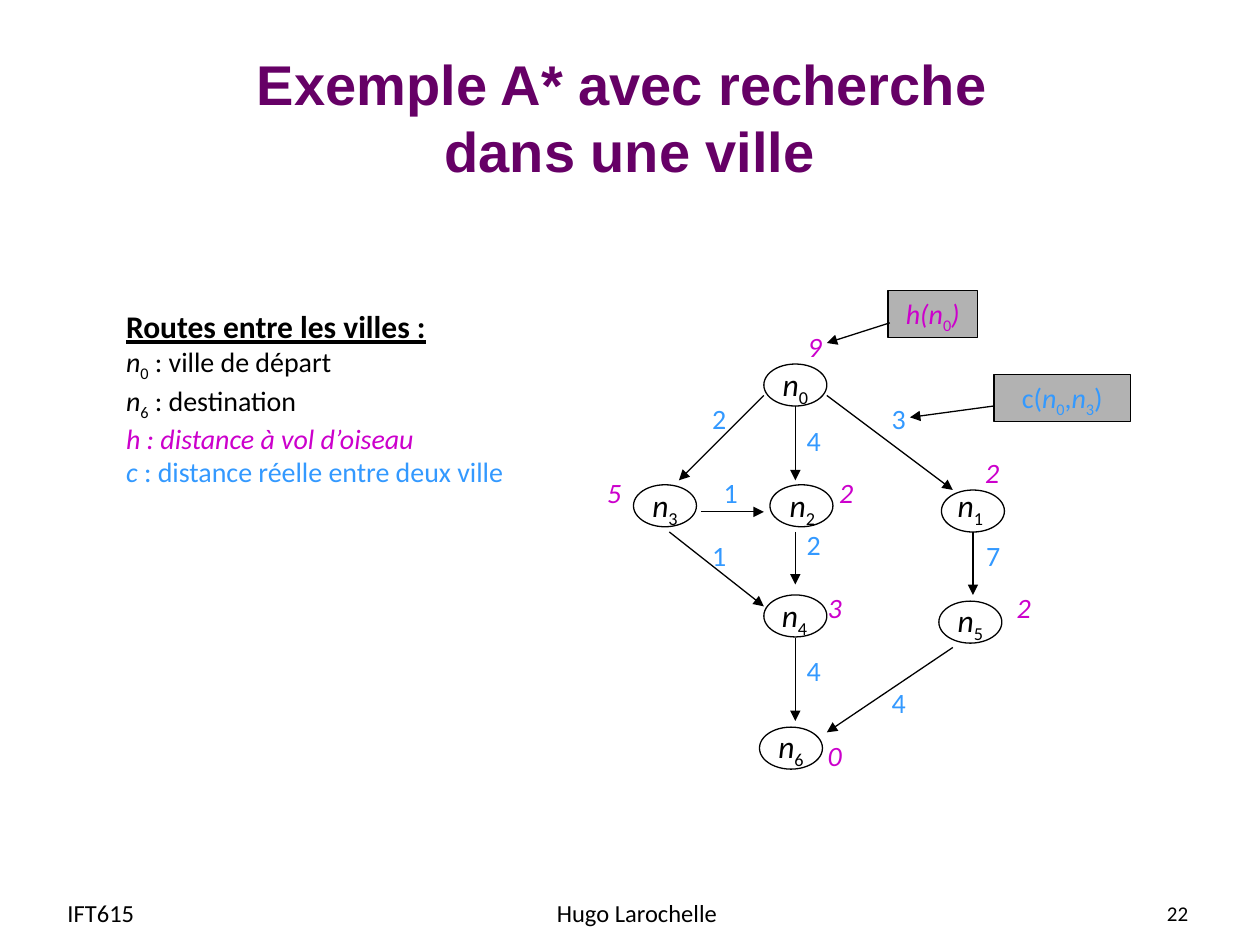
import pptx
import pptx.util
import pptx.dml.color
import pptx.enum.shapes
import pptx.enum.text
import pptx.oxml.ns
import lxml.etree

Pt = pptx.util.Pt
RGB = pptx.dml.color.RGBColor
SHAPE = pptx.enum.shapes.MSO_SHAPE
ANCHOR = pptx.enum.text.MSO_ANCHOR
ALIGN = pptx.enum.text.PP_ALIGN
LEFT, MID, RIGHT = ALIGN.LEFT, ALIGN.CENTER, ALIGN.RIGHT
qn = pptx.oxml.ns.qn

BLACK = RGB(0x00, 0x00, 0x00)
PURPLE = RGB(0x66, 0x00, 0x66)
PINK = RGB(0xCC, 0x00, 0xCC)
BLUE = RGB(0x33, 0x99, 0xFF)
GREY = RGB(0xB2, 0xB2, 0xB2)

deck = pptx.Presentation()
deck.slide_width, deck.slide_height = Pt(720), Pt(540)
slide = deck.slides.add_slide(deck.slide_layouts[6])
shapes = slide.shapes


def write(par, runs, size, color, align=MID, face="Calibri"):
    """Add (text, style) runs; style letters: i, b, u, and _ for subscript."""
    par.alignment = align
    for text, style in runs:
        run = par.add_run()
        run.text = text
        form = {"name": face, "size": Pt(size), "bold": "b" in style,
                "italic": "i" in style, "underline": "u" in style}
        for key, value in form.items():
            setattr(run.font, key, value)
        run.font.color.rgb = color
        if "_" in style:
            run._r.get_or_add_rPr().set("baseline", "-25000")


def label(x, y, w, h, runs, size, color, align=MID, face="Calibri",
          wrap=False, anchor=ANCHOR.TOP):
    box = shapes.add_textbox(Pt(x), Pt(y), Pt(w), Pt(h))
    frame = box.text_frame
    frame.word_wrap = wrap
    frame.vertical_anchor = anchor
    write(frame.paragraphs[0], runs, size, color, align, face)
    return frame


# Nodes: number, left, top, text shift
nodes = [
    ("0", 436.5, 208, 2, -3), ("3", 362, 277, 2, -3), ("2", 440, 277, 2.5, -3),
    ("1", 538, 280, 0.5, -6), ("4", 436.5, 340, 1.5, -3),
    ("6", 434, 415.5, 2, -3.5), ("5", 536.5, 343.5, 2, -3.5),
]
for num, x, y, dx, dy in nodes:
    oval = shapes.add_shape(SHAPE.OVAL, Pt(x), Pt(y), Pt(36), Pt(24))
    oval.shadow.inherit = False
    oval.fill.background()
    oval.line.color.rgb = BLACK
    oval.line.width = Pt(0.75)
    label(x + dx, y + dy, 32, 29, [("n", "i"), (num, "_")], 18, BLACK)

# Heuristic values
for text, x, y in [("9", 452, 184.5), ("2", 553.5, 256.5), ("3", 463.5, 334),
                   ("2", 571.5, 334), ("2", 470, 268), ("5", 337.5, 268),
                   ("0", 463.5, 418.5)]:
    label(x, y, 27, 27, [(text, "i")], 16, PINK)

# Edge costs
for text, x, y in [("2", 399.5, 226), ("3", 502, 226), ("1", 406, 268),
                   ("1", 399.5, 304), ("7", 556, 304), ("2", 453.5, 298),
                   ("4", 453.5, 370), ("4", 502, 388), ("4", 453.5, 238.5)]:
    label(x, y, 23, 27, [(text, "")], 16, BLUE)

# Callouts
calls = [
    (507.5, 166, 51, PINK, [("h(n", "i"), ("0", "_"), (")", "i")]),
    (568, 214, 78, BLUE, [("c(", ""), ("n", "i"), ("0", "_"), (",", ""),
                          ("n", "i"), ("3", "_"), (")", "")]),
]
for x, y, w, color, runs in calls:
    rect = shapes.add_shape(SHAPE.RECTANGLE, Pt(x), Pt(y), Pt(w), Pt(27))
    rect.shadow.inherit = False
    rect.fill.solid()
    rect.fill.fore_color.rgb = GREY
    rect.line.color.rgb = BLACK
    rect.line.width = Pt(0.75)
    rect.text_frame.word_wrap = False
    rect.text_frame.vertical_anchor = ANCHOR.TOP
    write(rect.text_frame.paragraphs[0], runs, 16, color)

# Arrows: graph edges, then callout pointers
arrows = [
    (454.5, 232, 454.5, 274.5), (472.5, 226, 544.5, 280),
    (436.5, 226, 388, 274.5), (400.5, 292.5, 436.5, 292.5),
    (382.5, 304, 436.5, 346.5), (454.5, 304, 454.5, 334),
    (454.5, 364.5, 454.5, 412), (556, 304, 556, 340),
    (544.5, 370, 472.5, 418.5),
    (508.5, 184.5, 472.5, 196), (568, 232, 520, 238.5),
]
for ends in arrows:
    edge = shapes.add_connector(pptx.enum.shapes.MSO_CONNECTOR.STRAIGHT,
                                *[Pt(v) for v in ends])
    edge.line.color.rgb = BLACK
    edge.line.width = Pt(0.75)
    lxml.etree.SubElement(edge.line._get_or_add_ln(), qn("a:tailEnd"),
                          type="triangle")
    lxml.etree.SubElement(edge._element.spPr, qn("a:effectLst"))

# Legend
legend = label(65, 172, 235, 107, [("Routes entre les villes :", "bu")],
               18, BLACK, LEFT)
for color, runs in [
    (BLACK, [("n", "i"), ("0", "_"), (" : ville de départ", "")]),
    (BLACK, [("n", "i"), ("6", "_"), (" : destination", "")]),
    (PINK, [("h : distance à vol d’oiseau", "i")]),
    (BLUE, [("c", "i"), (" : distance réelle entre deux ville", "")]),
]:
    write(legend.add_paragraph(), runs, 16, color, LEFT)

# Footer
for text, x, w, size, align in [("IFT615", 31.5, 139, 14, LEFT),
                                ("22", 518.5, 167.5, 12, RIGHT),
                                ("Hugo Larochelle", 250, 228, 14, MID)]:
    label(x, 507, w, 29, [(text, "")], size, BLACK, align,
          wrap=True, anchor=ANCHOR.MIDDLE)

# Title
title = label(36, 21.5, 648, 90, [("Exemple A* avec recherche ", "b")],
              32, PURPLE, face="Arial", wrap=True, anchor=ANCHOR.MIDDLE)
title.paragraphs[0].add_line_break()
write(title.paragraphs[0], [("dans une ville", "b")], 32, PURPLE, face="Arial")

deck.save("out.pptx")
